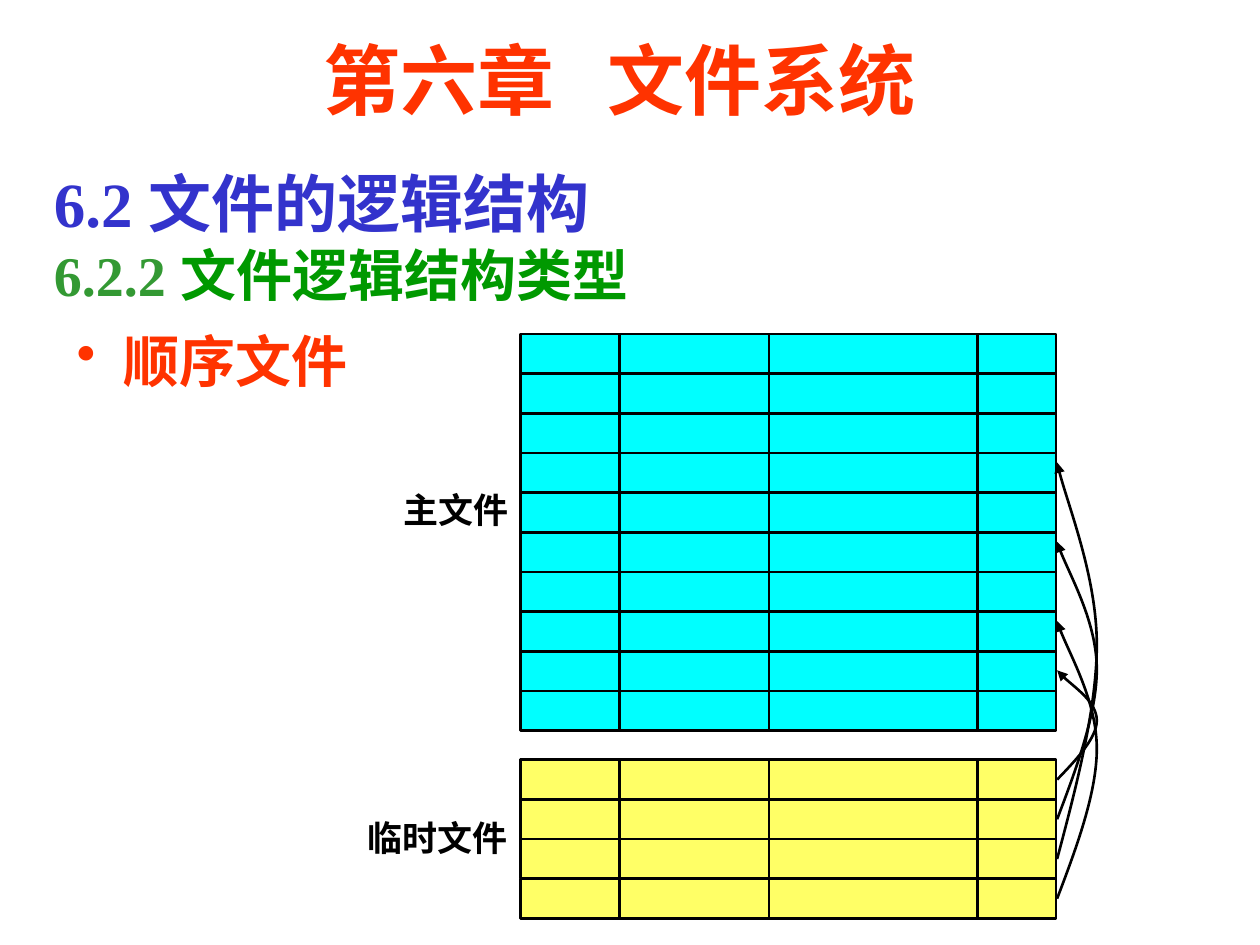
from lxml.etree import SubElement
from pptx import Presentation
from pptx.dml.color import RGBColor
from pptx.enum.shapes import MSO_CONNECTOR, MSO_SHAPE
from pptx.enum.text import MSO_ANCHOR, PP_ALIGN
from pptx.oxml.ns import qn
from pptx.util import Inches, Pt

COLS, ROWS = 100, 75
WIDE, HIGH = Inches(10), Inches(7.5)
FACE = "Times New Roman"
PITCH = 3.15
SPLITS = (0.185, 0.464, 0.854)
BEND = ((0.48, 0.18), (1, 0.38), (1, 0.54), (1, 0.71), (0.16, 0.92), (0, 1))


def tint(code):
    return RGBColor.from_string(code)


def across(cols):
    return round(WIDE * cols / COLS)


def down(rows):
    return round(HIGH * rows / ROWS)


def place(box):
    x, y, w, h = box
    return across(x), down(y), across(w), down(h)


def apply(item, form):
    for name, value in form.items():
        setattr(item, name, value)


def ink(line):
    line.color.rgb = tint("000000")
    line.width = Pt(1.5)


def write(shapes, box, lines, gap=0, frame=None, para=None):
    text = shapes.add_textbox(*place(box)).text_frame
    apply(text, {"word_wrap": True, **(frame or {})})
    block = text.paragraphs[0]
    apply(block, para or {})
    if gap:
        space = SubElement(block._p.get_or_add_pPr(), qn("a:spcBef"))
        SubElement(space, qn("a:spcPct"), val=str(gap * 1000))
    for row, runs in enumerate(lines):
        if row:
            block.add_line_break()
        for words, size, code in runs:
            run = block.add_run()
            run.text = words
            apply(run.font, {"name": FACE, "size": Pt(size), "bold": True})
            run.font.color.rgb = tint(code)
    return block


def title(shapes, box):
    write(shapes, box, [[("第六章   文件系统", 44, "FF3300")]],
          frame={"vertical_anchor": MSO_ANCHOR.MIDDLE},
          para={"alignment": PP_ALIGN.CENTER})


def heading(shapes, box):
    write(shapes, box, [
        [("6.2 文件的逻辑结构", 36, "3333CC")],
        [("6.2.2 ", 32, "339933"), ("文件逻辑结构类型", 32, "009900")],
    ], gap=20)


def bullet(shapes, box):
    block = write(shapes, box, [[("顺序文件", 32, "FF3300")]], gap=20,
                  para={"line_spacing": 1.1})
    props = block._p.get_or_add_pPr()
    indent = across(3.75)
    props.set("marL", str(indent))
    props.set("indent", str(-indent))
    SubElement(props, qn("a:buChar"), char="•")


def label(shapes, box, words):
    write(shapes, box, [[(words, 20, "000000")]], gap=50,
          para={"alignment": PP_ALIGN.CENTER})


def records(shapes, box, count, code):
    x, y, w, h = box
    group = shapes.add_group_shape().shapes
    for row in range(count):
        spot = place((x, y + row * h / count, w, h / count))
        bar = group.add_shape(MSO_SHAPE.RECTANGLE, *spot)
        bar.shadow.inherit = False
        bar.fill.solid()
        bar.fill.fore_color.rgb = tint(code)
        ink(bar.line)
    for share in SPLITS:
        col = across(x + w * share)
        rule = group.add_connector(MSO_CONNECTOR.STRAIGHT, col, down(y), col, down(y + h))
        ink(rule.line)
        SubElement(rule._element.spPr, qn("a:effectLst"))


def curve(shapes, box):
    x, y, w, h = box
    points = [(across(x + w * dx), down(y + h * (1 - dy))) for dx, dy in BEND]
    pen = shapes.build_freeform(across(x), down(y + h))
    pen.add_line_segments(points, close=False)
    arc = pen.convert_to_shape()
    arc.shadow.inherit = False
    arc.fill.background()
    ink(arc.line)
    steps = arc._element.xpath(".//a:lnTo")
    for first in range(0, len(steps), 3):
        head, *rest = steps[first:first + 3]
        for step in rest:
            head.append(step[0])
            step.getparent().remove(step)
        head.tag = qn("a:cubicBezTo")
    SubElement(arc.line._get_or_add_ln(), qn("a:tailEnd"), type="triangle")


def links(shapes, box, tips):
    x, y, w, h = box
    group = shapes.add_group_shape().shapes
    for row, tip in tips:
        base = y + (row + 0.5) * PITCH
        curve(group, (x, tip, w, base - tip))


def main():
    deck = Presentation()
    apply(deck, {"slide_width": WIDE, "slide_height": HIGH})
    shapes = deck.slides.add_slide(deck.slide_layouts[6]).shapes
    bullet(shapes, (5.1, 24.9, 90, 7.9))
    heading(shapes, (3.3, 12.6, 92.5, 12.3))
    title(shapes, (11.7, 2.5, 75, 7.5))
    records(shapes, (41.3, 26.5, 42.5, 10 * PITCH), 10, "00FFFF")
    label(shapes, (29.5, 38.3, 13.4, 4.3), "主文件")
    records(shapes, (41.3, 60.3, 42.5, 4 * PITCH), 4, "FFFF66")
    label(shapes, (28, 64.3, 13.4, 4.3), "临时文件")
    links(shapes, (83.9, 60.3, 3.15, 4 * PITCH),
          ((0, 53.2), (1, 43), (2, 36.7), (3, 49.3)))
    deck.save("out.pptx")


if __name__ == "__main__":
    main()
